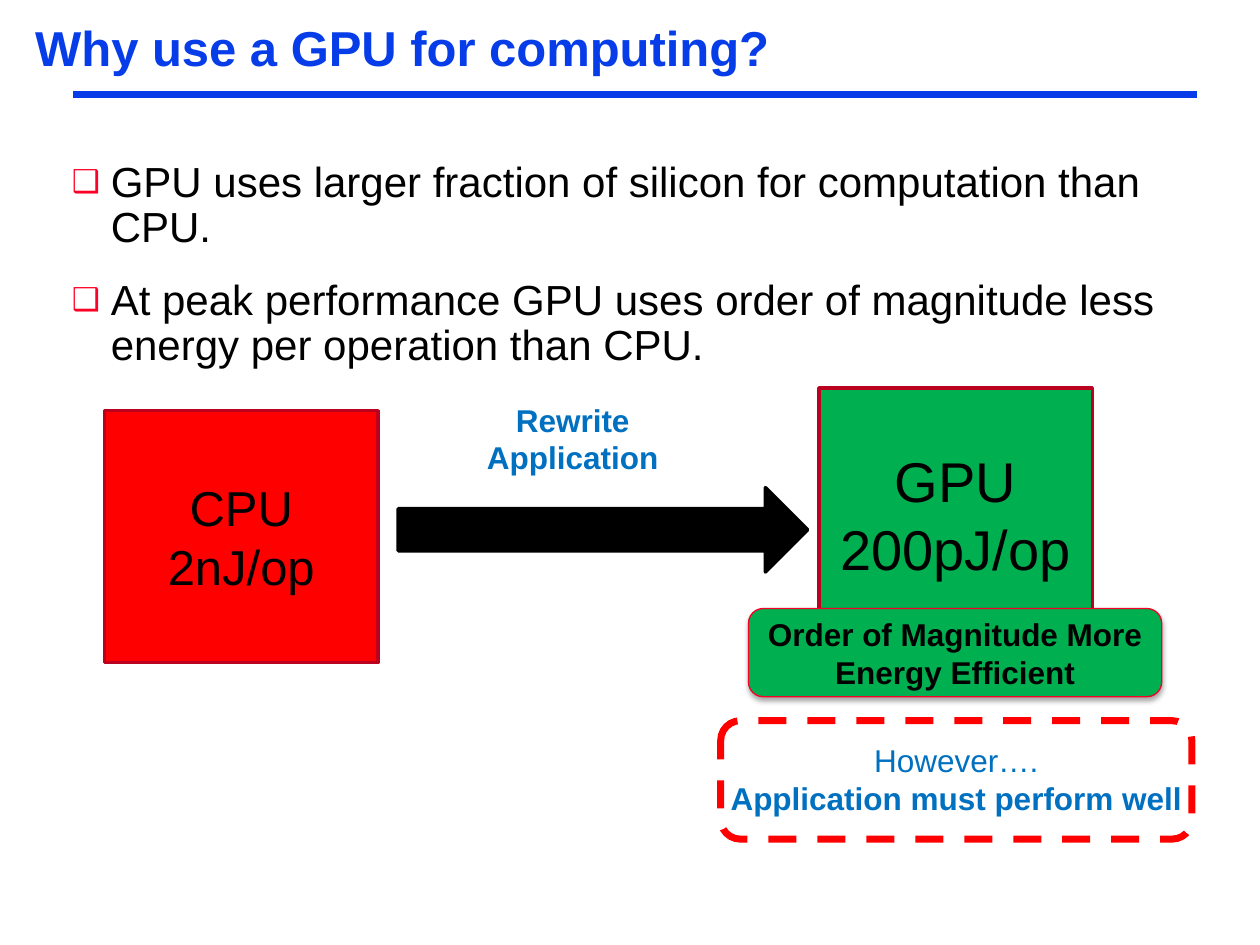
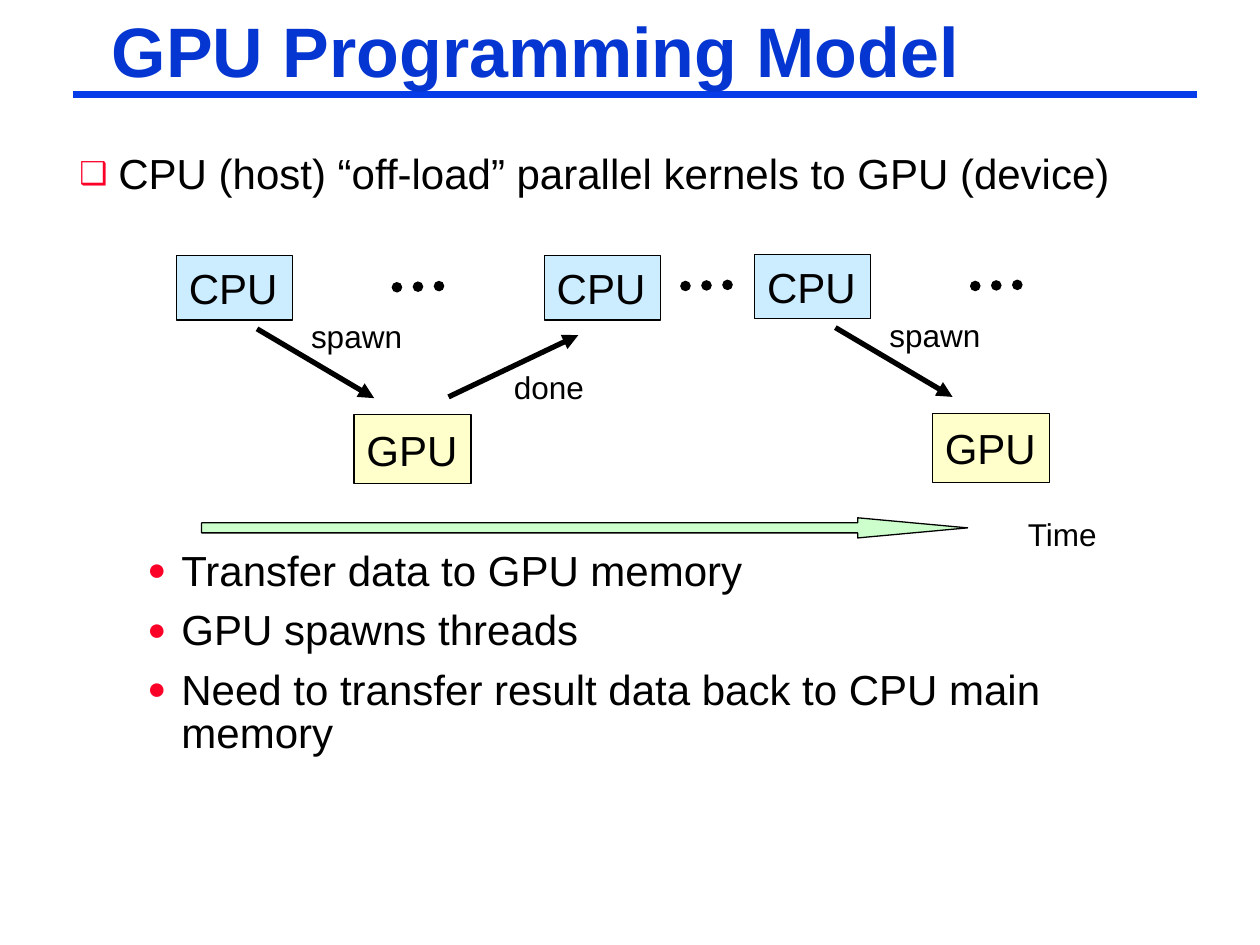
import pptx
import pptx.dml.color
import pptx.enum.dml
import pptx.enum.shapes
import pptx.enum.text
import pptx.oxml
import pptx.oxml.ns
import pptx.util

Inches = pptx.util.Inches
Pt = pptx.util.Pt
RGBColor = pptx.dml.color.RGBColor
Align = pptx.enum.text.PP_ALIGN
Anchor = pptx.enum.text.MSO_ANCHOR
Kind = pptx.enum.shapes.MSO_SHAPE
Dash = pptx.enum.dml.MSO_LINE

BLUE = RGBColor(0x06, 0x3D, 0xE8)
NAVY = RGBColor(0x05, 0x36, 0xD2)
AZURE = RGBColor(0x00, 0x70, 0xC0)
BLACK = RGBColor(0x00, 0x00, 0x00)
RED = RGBColor(0xFF, 0x00, 0x00)
MARK = RGBColor(0xFC, 0x01, 0x28)
CRIMSON = RGBColor(0xBA, 0x01, 0x1E)
ROSE = RGBColor(0xF7, 0x00, 0x26)
GREEN = RGBColor(0x00, 0xB0, 0x50)
SKY = RGBColor(0xCC, 0xEC, 0xFF)
CREAM = RGBColor(0xFF, 0xFF, 0xCC)
MINT = RGBColor(0xCC, 0xFF, 0xCC)


def add_xml(parent, tag, inner="", **attrs):
    """Append one drawing element to a parent."""
    space = pptx.oxml.ns.nsdecls("a")
    pairs = " ".join(f'{key}="{value}"' for key, value in attrs.items())
    parent.append(pptx.oxml.parse_xml(f"<a:{tag} {space} {pairs}>{inner}</a:{tag}>"))


def write(frame, text, size=18, color=BLACK, bold=False, align=Align.LEFT,
          space=None, gap=0, bullet=None, indent=0, hang=0):
    """Add each line of the text to the frame as a paragraph."""
    for line in text.split("\n"):
        first = not frame.text
        para = frame.paragraphs[0] if first else frame.add_paragraph()
        if bullet:
            props = para._p.get_or_add_pPr()
            props.set("marL", str(Inches(indent)))
            props.set("indent", str(-Inches(hang)))
            add_xml(props, "buClr", f'<a:srgbClr val="{MARK}"/>')
            add_xml(props, "buSzPct", val=75000)
            add_xml(props, "buFont", typeface="Arial")
            add_xml(props, "buChar", char=bullet)
        para.alignment = align
        if space:
            para.line_spacing = space
        if gap and not first:
            para.space_before = Pt(gap)
        run = para.add_run()
        run.text = line
        font = run.font
        font.name, font.size, font.bold = "Arial", Pt(size), bold
        font.color.rgb = color


class Deck:
    """Holds the shared style and the current slide."""

    def __init__(self):
        self.show = pptx.Presentation()
        self.show.slide_width = Inches(10)
        self.show.slide_height = Inches(7.5)
        self.slide = None

    def start(self):
        """Add a slide with the blue rule under its title."""
        self.slide = self.show.slides.add_slide(self.show.slide_layouts[6])
        self.line(0.58, 0.75, 9.5, 0.75, color=BLUE, width=4.5)

    def text(self, left, top, width, height, text, wrap=True, tight=False, **style):
        """Add a text box and return its frame."""
        box = self.slide.shapes.add_textbox(*map(Inches, (left, top, width, height)))
        frame = box.text_frame
        frame.word_wrap = wrap
        if tight:
            frame.margin_left = frame.margin_right = Inches(0.07)
            frame.margin_top = frame.margin_bottom = Inches(0.03)
        write(frame, text, **style)
        return frame

    def points(self, left, top, width, height, text):
        """Add the main square-bulleted points."""
        self.text(left, top, width, height, text, tight=True, size=24, space=0.9,
                  gap=15.6, bullet="❑", indent=0.31, hang=0.31)

    def shape(self, kind, left, top, width, height, fill=None, edge=BLACK,
              weight=0.75, text="", wrap=True, **style):
        """Add a preset shape, with text when given."""
        shape = self.slide.shapes.add_shape(
            kind, *map(Inches, (left, top, width, height)))
        shape.shadow.inherit = False
        if fill is None:
            shape.fill.background()
        else:
            shape.fill.solid()
            shape.fill.fore_color.rgb = fill
        shape.line.color.rgb = edge
        shape.line.width = Pt(weight)
        if text:
            frame = shape.text_frame
            frame.word_wrap = wrap
            frame.vertical_anchor = Anchor.MIDDLE
            write(frame, text, **style)
        return shape

    def line(self, x1, y1, x2, y2, color=BLACK, width=3, arrow=False, dots=False):
        """Add a straight line, an arrow or a row of dots."""
        link = self.slide.shapes.add_connector(
            pptx.enum.shapes.MSO_CONNECTOR.STRAIGHT, *map(Inches, (x1, y1, x2, y2)))
        link.line.color.rgb = color
        link.line.width = Pt(width)
        edge = link.line._get_or_add_ln()
        if dots:
            link.line.dash_style = Dash.ROUND_DOT
            edge.set("cap", "rnd")
        if arrow:
            add_xml(edge, "tailEnd", type="triangle")
        add_xml(link._element.spPr, "effectLst")

    def dots(self, left, top):
        """Add three dots that stand for elapsed time."""
        self.line(left, top, left + 0.37, top - 0.01, width=6, dots=True)

    def node(self, left, top, name, fill, width, height):
        """Add a processor box of the timeline."""
        self.shape(Kind.RECTANGLE, left, top, width, height, fill,
                   text=name, wrap=False, size=24)

    def host(self, left, top):
        """Add a CPU box."""
        self.node(left, top, "CPU", SKY, 0.92, 0.51)

    def spawn(self, left, top):
        """Add a CPU that spawns work on a GPU."""
        self.host(left, top)
        self.line(left + 0.64, top + 0.58, left + 1.57, top + 1.13, arrow=True)
        self.text(left + 0.97, top + 0.44, 0.92, 0.4, "spawn", wrap=False)
        self.node(left + 1.41, top + 1.26, "GPU", CREAM, 0.93, 0.55)
        self.dots(left + 1.75, top + 0.25)


def add_shade(shape):
    """Give a shape a soft shadow below it."""
    effects = shape._element.spPr.find(pptx.oxml.ns.qn("a:effectLst"))
    add_xml(effects, "outerShdw",
            '<a:srgbClr val="000000"><a:alpha val="35000"/></a:srgbClr>',
            blurRad=Pt(3.1), dist=Pt(1.8), dir=5400000, rotWithShape=0)


def show_why(deck):
    """Build the slide that compares CPU and GPU energy."""
    deck.start()
    deck.text(0.21, 0.17, 9, 0.5, "Why use a GPU for computing?", tight=True,
              size=28, color=BLUE, bold=True, space=0.87)
    deck.points(0.5, 1.25, 9, 1.8,
                "GPU uses larger fraction of silicon for computation than CPU.\n"
                "At peak performance GPU uses order of magnitude less energy "
                "per operation than CPU.")
    chips = [(0.83, 3.26, RED, "CPU\n2nJ/op", 28),
             (6.5, 3.08, GREEN, "GPU\n200pJ/op", 32)]
    for left, top, fill, text, size in chips:
        deck.shape(Kind.RECTANGLE, left, top, 2.17, 2, fill, CRIMSON, 2,
                   text=text, size=size, align=Align.CENTER)
    deck.shape(Kind.RIGHT_ARROW, 3.16, 3.87, 3.25, 0.67, BLACK, weight=2)
    deck.text(3.42, 3.13, 2.25, 0.71, "Rewrite Application",
              color=AZURE, bold=True, align=Align.CENTER)
    gain = deck.shape(Kind.ROUNDED_RECTANGLE, 5.94, 4.83, 3.28, 0.7, GREEN, ROSE,
                      text="Order of Magnitude More Energy Efficient",
                      bold=True, align=Align.CENTER)
    add_shade(gain)
    catch = deck.text(5.65, 5.83, 3.88, 0.71, "However….",
                      color=AZURE, align=Align.CENTER)
    write(catch, "Application must perform well",
          color=AZURE, bold=True, align=Align.CENTER)
    frame = deck.shape(Kind.ROUNDED_RECTANGLE, 5.72, 5.72, 3.74, 0.94,
                       edge=RED, weight=4)
    frame.line.dash_style = Dash.DASH


def show_model(deck):
    """Build the slide with the off-load timeline."""
    deck.start()
    deck.text(0, 0.01, 8.5, 0.8, "GPU Programming Model",
              size=40, color=NAVY, bold=True, align=Align.CENTER)
    deck.points(0.56, 1.19, 8.99, 0.5,
                "CPU (host) “off-load” parallel kernels to GPU (device)")
    deck.spawn(1.4, 2.03)
    deck.line(3.56, 3.15, 4.59, 2.66, arrow=True)
    deck.text(3.98, 2.87, 0.76, 0.4, "done", wrap=False)
    deck.host(4.32, 2.03)
    deck.dots(5.44, 2.27)
    deck.spawn(5.99, 2.02)
    time = deck.shape(Kind.RIGHT_ARROW, 1.6, 4.11, 6.08, 0.16, MINT)
    time.adjustments[0] = 0.5
    time.adjustments[1] = 5.46
    deck.text(8.06, 4.04, 0.75, 0.4, "Time", wrap=False)
    deck.text(0.56, 4.35, 8.99, 1.9,
              "Transfer data to GPU memory\nGPU spawns threads\n"
              "Need to transfer result data back to CPU main memory",
              tight=True, size=24, space=0.85, gap=9.6,
              bullet="●", indent=0.81, hang=0.27)


def main():
    """Build and save the deck."""
    deck = Deck()
    show_why(deck)
    show_model(deck)
    deck.show.save("out.pptx")


if __name__ == "__main__":
    main()
